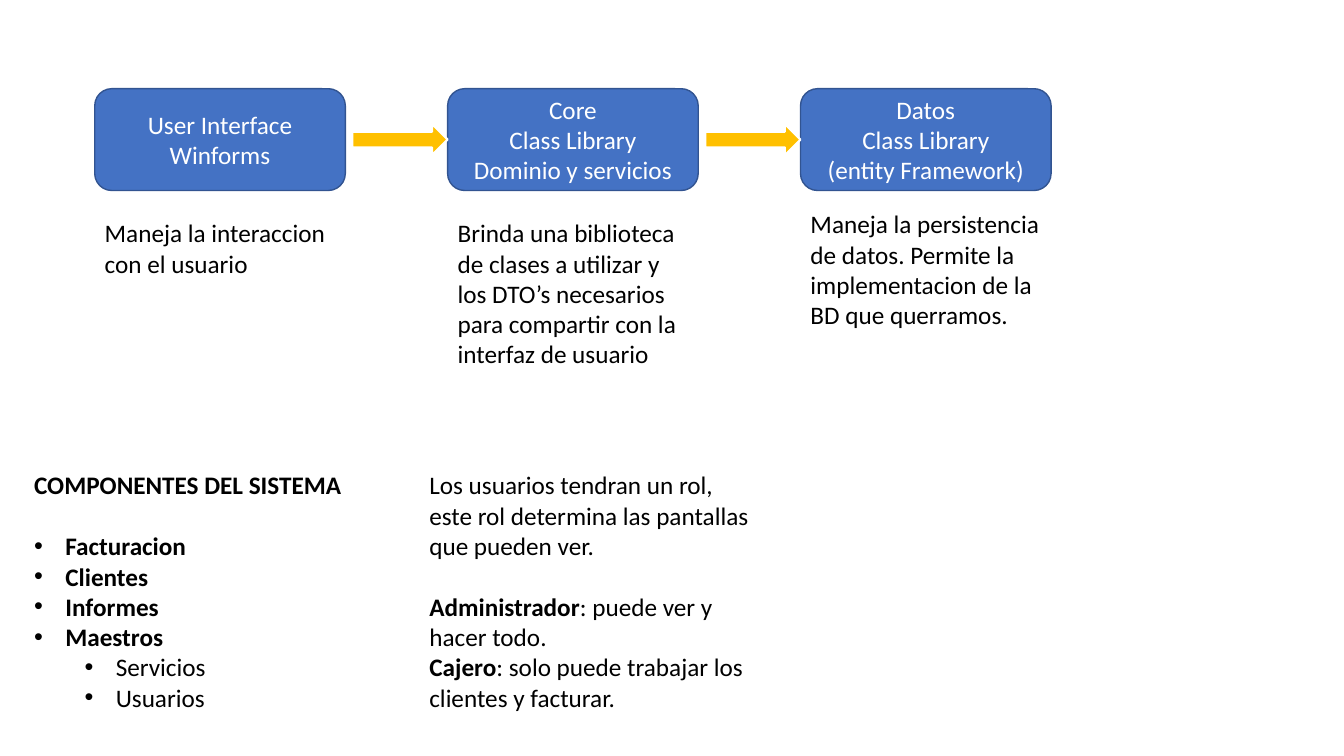
"""Build a slide of three application layers, their roles and the system's components."""
from pptx import Presentation
from pptx.dml.color import RGBColor
from pptx.enum.shapes import MSO_SHAPE
from pptx.enum.text import MSO_ANCHOR, PP_ALIGN
from pptx.oxml.ns import qn
from pptx.util import Inches, Pt
from lxml.etree import SubElement

COLORS = {"box": "4472C4", "edge": "325491", "arrow": "FFC000",
          "light": "FFFFFF", "text": "000000"}


class Sheet:
    """Holds the style and the slide; lengths are columns and rows of its grid."""

    left, top, col, row = 0.94, 0.88, 3.5, 1
    face, size, gap = "Calibri", 18, 22

    def __init__(self, slide):
        self.slide = slide

    def color(self, name):
        return RGBColor.from_string(COLORS[name])

    def area(self, x, y, wide, high):
        return (Inches(self.left + x * self.col), Inches(self.top + y * self.row),
                Inches(wide * self.col), Inches(high * self.row))

    def style(self, para, color):
        font = para.font
        font.name, font.size = self.face, Pt(self.size)
        font.color.rgb = self.color(color)

    def shape(self, kind, area, fill, edge, width):
        item = self.slide.shapes.add_shape(kind, *self.area(*area))
        item.shadow.inherit = False
        item.fill.solid()
        item.fill.fore_color.rgb = self.color(fill)
        item.line.color.rgb = self.color(edge)
        item.line.width = Pt(width)
        return item

    def box(self, area, lines):
        frame = self.shape(MSO_SHAPE.ROUNDED_RECTANGLE, area, "box", "edge", 1).text_frame
        frame.word_wrap = True
        frame.vertical_anchor = MSO_ANCHOR.MIDDLE
        frame.text = "\n".join(lines)
        for para in frame.paragraphs:
            para.alignment = PP_ALIGN.CENTER
            self.style(para, "light")

    def arrow(self, area):
        self.shape(MSO_SHAPE.RIGHT_ARROW, area, "arrow", "light", 1.5)

    def bullet(self, para, level):
        para.level = level
        props = para._p.get_or_add_pPr()
        props.set("marL", str(Inches(0.31 + level * 0.5)))
        props.set("indent", str(Inches(-0.31)))
        SubElement(props, qn("a:buFont")).set("typeface", "Arial")
        SubElement(props, qn("a:buChar")).set("char", "•")

    def text(self, area, items):
        frame = self.slide.shapes.add_textbox(*self.area(*area)).text_frame
        frame.word_wrap = True
        for index, (bold, plain, level, gap) in enumerate(items):
            para = frame.paragraphs[0] if index == 0 else frame.add_paragraph()
            for words, heavy in ((bold, True), (plain, False)):
                if words:
                    run = para.add_run()
                    run.text, run.font.bold = words, heavy
            self.style(para, "text")
            if gap:
                para.space_before = Pt(self.gap)
            if level is not None:
                self.bullet(para, level)


LAYERS = [
    (["User Interface", "Winforms"], 1.23, 0.71,
     ["Maneja la interaccion", "con el usuario"]),
    (["Core", "Class Library", "Dominio y servicios"], 1.23, 1.62,
     ["Brinda una biblioteca de clases a utilizar y los DTO’s necesarios "
      "para compartir con la interfaz de usuario"]),
    (["Datos", "Class Library", "(entity Framework)"], 1.14, 1.31,
     ["Maneja la persistencia de datos. Permite la implementacion "
      "de la BD que querramos."]),
]
PARTS = ["Facturacion", "Clientes", "Informes", "Maestros"]
SUBS = ["Servicios", "Usuarios"]
ROLES = [
    ("", "Los usuarios tendran un rol, este rol determina las pantallas "
         "que pueden ver.", None, False),
    ("Administrador", ": puede ver y hacer todo.", None, True),
    ("Cajero", ": solo puede trabajar los clientes y facturar.", None, False),
]

deck = Presentation()
deck.slide_width, deck.slide_height = Inches(13.33), Inches(7.5)
sheet = Sheet(deck.slides.add_slide(deck.slide_layouts[6]))

for spot, (lines, drop, high, notes) in enumerate(LAYERS):
    sheet.box((spot, 0, 0.71, 1.01), lines)
    sheet.text((spot, drop, 0.72, high), [("", note, None, False) for note in notes])
for spot in range(len(LAYERS) - 1):
    sheet.arrow((spot + 0.73, 0.35, 0.27, 0.31))

sheet.text((-0.2, 3.73, 1, 2.52),
           [("COMPONENTES DEL SISTEMA", "", None, False)]
           + [(part, "", 0, part == PARTS[0]) for part in PARTS]
           + [("", sub, 1, False) for sub in SUBS])
sheet.text((0.92, 3.73, 0.99, 2.5), ROLES)

deck.save("out.pptx")
